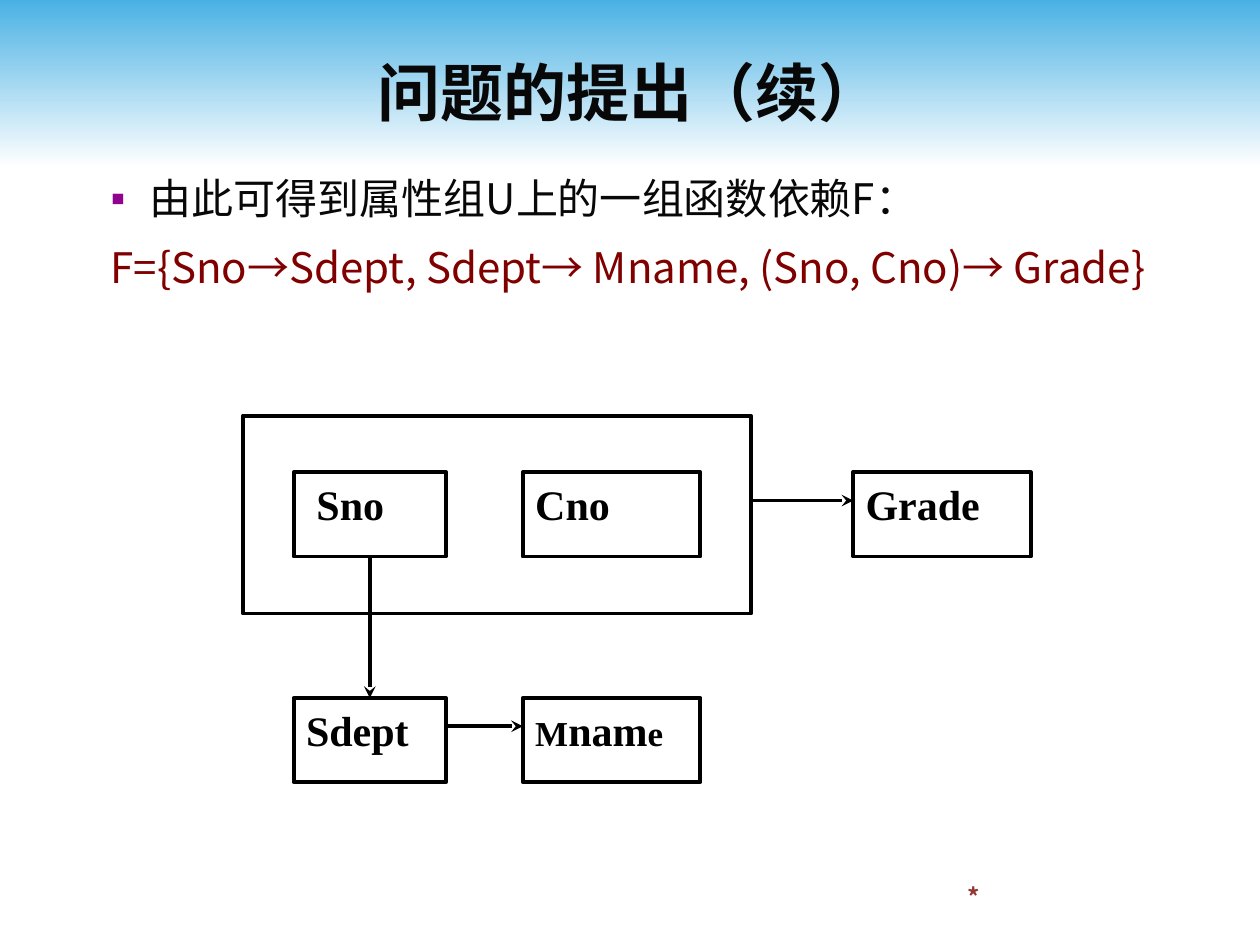
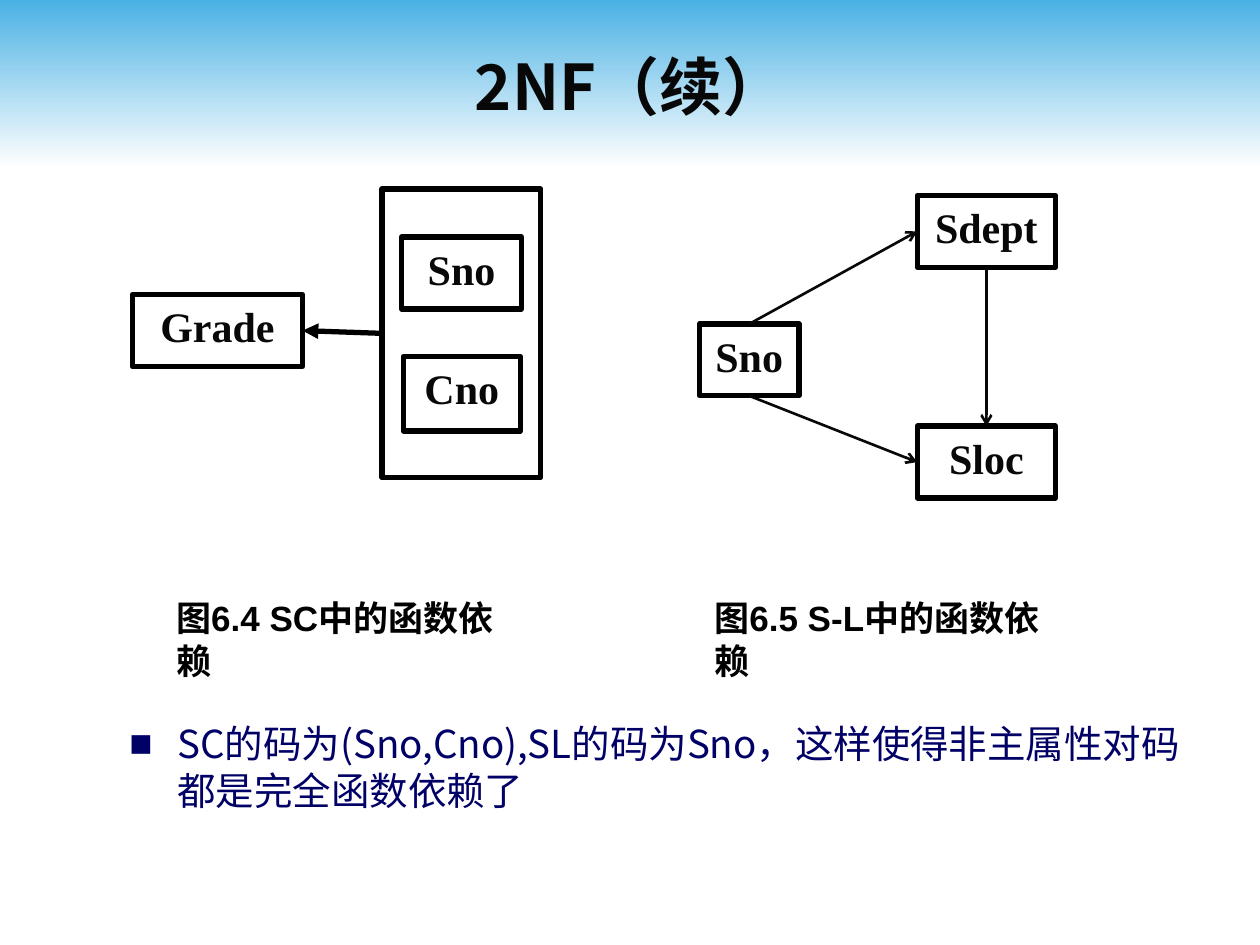
from lxml.etree import SubElement
from pptx import Presentation
from pptx.dml.color import RGBColor
from pptx.enum.shapes import MSO_CONNECTOR as Connector, MSO_SHAPE as Shape
from pptx.enum.text import MSO_ANCHOR as Anchor, PP_ALIGN as Align
from pptx.oxml.ns import qn
from pptx.util import Cm, Pt

COLORS = {
    "band": "4AB1E4",
    "white": "FFFFFF",
    "ink": "080808",
    "black": "000000",
    "bullet": "8F038F",
    "formula": "800000",
    "conclusion": "000066",
    "footer": "953734",
}
SANS, SERIF, CAPTION = "Noto Sans CJK SC", "Times New Roman", "Arial"
TOP, LEFT, BOTTOM, RIGHT = range(4)


def rgb(name):
    """Return the named colour of the palette."""
    return RGBColor.from_string(COLORS[name])


def set_font(font, name, size, color, bold=False):
    """Style a font for both Latin and East Asian letters."""
    font.name, font.size, font.bold = name, Pt(size), bold
    font.color.rgb = rgb(color)
    latin = font._element.find(qn("a:latin"))
    east_asian = latin.makeelement(qn("a:ea"), {"typeface": name})
    latin.addnext(east_asian)


def set_indent(paragraph, left, hanging=0.0, bullet=None, color=None):
    """Indent a paragraph and give it an optional bullet."""
    properties = paragraph._p.get_or_add_pPr()
    properties.set("marL", str(Cm(left)))
    properties.set("indent", str(Cm(-hanging)))
    if bullet:
        bullet_color = SubElement(properties, qn("a:buClr"))
        SubElement(bullet_color, qn("a:srgbClr"), val=COLORS[color])
        SubElement(properties, qn("a:buFont"), typeface=CAPTION)
        SubElement(properties, qn("a:buChar"), char=bullet)


def add_text_box(slide, left, top, width, height):
    """Add a wrapping text box and return its text frame."""
    box = slide.shapes.add_textbox(Cm(left), Cm(top), Cm(width), Cm(height))
    box.text_frame.word_wrap = True
    return box.text_frame


def add_label(slide, text, place, font_name, size, color):
    """Add a bold one-paragraph text box and return its text frame."""
    frame = add_text_box(slide, *place)
    frame.text = text
    set_font(frame.paragraphs[0].font, font_name, size, color, bold=True)
    return frame


def add_titled_slide(presentation, title, title_height):
    """Add a blank slide with the gradient band and its title."""
    slide = presentation.slides.add_slide(presentation.slide_layouts[6])
    band = slide.shapes.add_shape(
        Shape.RECTANGLE, 0, 0, presentation.slide_width, Cm(3.38))
    band.shadow.inherit = False
    band.line.fill.background()
    band.fill.gradient()
    band.fill.gradient_angle = 270
    for stop, color in zip(band.fill.gradient_stops, ("band", "white")):
        stop.color.rgb = rgb(color)
    frame = add_label(slide, title, (1.27, 0.64, 22.86, title_height), SANS, 36, "ink")
    frame.vertical_anchor = Anchor.MIDDLE
    frame.paragraphs[0].alignment = Align.CENTER
    return slide


def add_box(slide, left, top, width, height, line_width):
    """Add an unfilled black-edged rectangle."""
    box = slide.shapes.add_shape(
        Shape.RECTANGLE, Cm(left), Cm(top), Cm(width), Cm(height))
    box.shadow.inherit = False
    box.fill.background()
    box.line.color.rgb = rgb("black")
    box.line.width = Pt(line_width)
    return box


def add_attribute(slide, text, place, line_width, color, alignment):
    """Add a rectangle that names an attribute."""
    box = add_box(slide, *place, line_width)
    frame = box.text_frame
    frame.vertical_anchor = Anchor.TOP
    frame.text = text
    paragraph = frame.paragraphs[0]
    paragraph.alignment = alignment
    set_font(paragraph.font, SERIF, 24, color, bold=True)
    return box


def add_arrow(slide, start, end, line_width, color, head):
    """Add a straight arrow between two (x, y) points in centimetres."""
    arrow = slide.shapes.add_connector(
        Connector.STRAIGHT, *(Cm(value) for value in start + end))
    arrow.line.color.rgb = rgb(color)
    arrow.line.width = Pt(line_width)
    SubElement(arrow.line._get_or_add_ln(), qn("a:tailEnd"), type=head)
    SubElement(arrow.element.spPr, qn("a:effectLst"))
    return arrow


def join_boxes(slide, source, source_side, target, target_side, *style):
    """Add an arrow joined to the sides of two rectangles."""
    arrow = add_arrow(slide, (0, 0), (0, 0), *style)
    arrow.begin_connect(source, source_side)
    arrow.end_connect(target, target_side)


def build_problem_slide(presentation):
    """Build the slide that derives the set of dependencies."""
    slide = add_titled_slide(presentation, "问题的提出（续）", 2.41)
    add_label(slide, "*", (19.25, 17.65, 4.95, 0.84), SANS, 14, "footer")

    frame = add_text_box(slide, 0.71, 3.15, 24.13, 13.97)
    statement, formula = frame.paragraphs[0], frame.add_paragraph()
    statement.text = "由此可得到属性组U上的一组函数依赖F："
    set_indent(statement, 2.06, 0.79, "▪", "bullet")
    formula.text = "F={Sno→Sdept, Sdept→ Mname, (Sno, Cno)→ Grade}"
    formula.space_before = Pt(4.8)
    set_indent(formula, 1.27)
    for paragraph, color in ((statement, "ink"), (formula, "formula")):
        paragraph.line_spacing = 1.2
        set_font(paragraph.font, SANS, 24, color)

    upper, lower, height, arrow_drop = 9.52, 14.07, 1.7, 0.57
    line_width = 2.25
    add_box(slide, 4.9, 8.38, 10.24, 3.99, line_width)
    boxes = {}
    for name, left, top, width in (
        ("Sno", 5.92, upper, 3.07),
        ("Cno", 10.54, upper, 3.58),
        ("Grade", 17.2, upper, 3.58),
        ("Sdept", 5.92, lower, 3.07),
        ("Mname", 10.54, lower, 3.58),
    ):
        boxes[name] = add_attribute(
            slide, name, (left, top, width, height), line_width, "black", Align.LEFT)
    boxes["Sno"].text_frame.margin_left = Cm(0.46)

    paragraph = boxes["Mname"].text_frame.paragraphs[0]
    paragraph.runs[0].text = "M"
    paragraph.add_run().text = "nam"
    paragraph.add_run().text = "e"
    for run, size in zip(paragraph.runs, (20, 24, 20)):
        run.font.size = Pt(size)

    style = (line_width, "black", "stealth")
    join_boxes(slide, boxes["Sno"], BOTTOM, boxes["Sdept"], TOP, *style)
    for start, end, row in ((8.99, 10.54, lower), (15.14, 17.2, upper)):
        level = row + arrow_drop
        add_arrow(slide, (start, level), (end, level), *style)


def build_normal_form_slide(presentation):
    """Build the slide that shows the two decomposed relations."""
    slide = add_titled_slide(presentation, "2NF（续）", 2.16)

    frame = add_text_box(slide, 1.27, 14.4, 22.86, 3.33)
    frame.text = "SC的码为(Sno,Cno),SL的码为Sno，这样使得非主属性对码都是完全函数依赖了"
    conclusion = frame.paragraphs[0]
    set_indent(conclusion, 2.06, 0.97, "■", "conclusion")
    set_font(conclusion.font, SANS, 22, "conclusion")

    line_width = 3
    key = add_box(slide, 7.7, 3.81, 3.2, 5.82, line_width)
    _, _, grade, student, department, location = [
        add_attribute(slide, name, place, line_width, "ink", Align.CENTER)
        for name, place in (
            ("Sno", (8.1, 4.78, 2.41, 1.45)),
            ("Cno", (8.13, 7.19, 2.36, 1.5)),
            ("Grade", (2.67, 5.94, 3.43, 1.45)),
            ("Sno", (14.1, 6.53, 2.01, 1.45)),
            ("Sdept", (18.49, 3.94, 2.79, 1.45)),
            ("Sloc", (18.49, 8.59, 2.79, 1.45)),
        )
    ]
    join_boxes(slide, key, LEFT, grade, RIGHT, line_width, "black", "triangle")
    for source, source_side, target, target_side in (
        (student, TOP, department, LEFT),
        (student, BOTTOM, location, LEFT),
        (department, BOTTOM, location, TOP),
    ):
        join_boxes(slide, source, source_side, target, target_side, 1.5, "ink", "arrow")

    for text, left, width in (
        ("图6.4 SC中的函数依赖", 3.3, 7.59),
        ("图6.5 S-L中的函数依赖", 14.15, 7.75),
    ):
        add_label(slide, text, (left, 11.91, width, 1.09), CAPTION, 20, "black")


def main():
    """Build and save the presentation."""
    presentation = Presentation()
    presentation.slide_width, presentation.slide_height = Cm(25.4), Cm(19.05)
    build_problem_slide(presentation)
    build_normal_form_slide(presentation)
    presentation.save("out.pptx")


if __name__ == "__main__":
    main()
